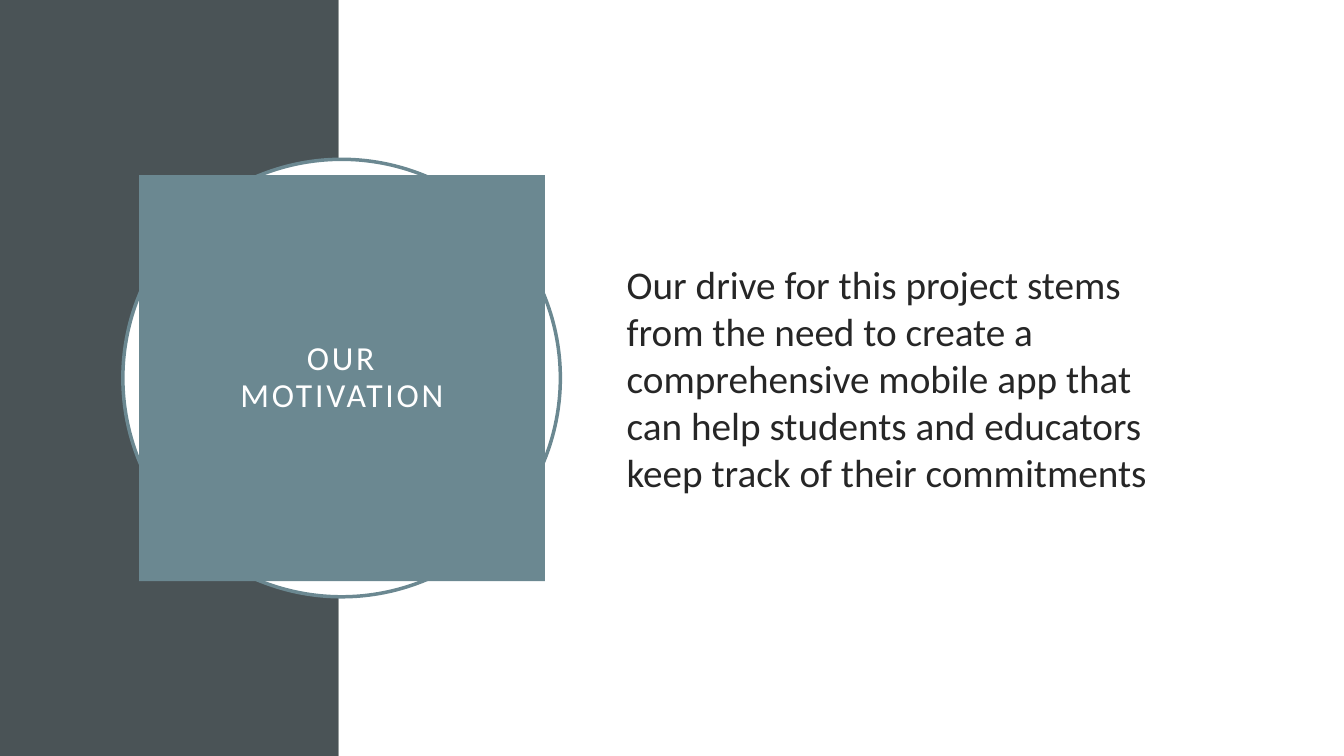
"""Build the motivation slide: a dark side band, a ringed title and a statement."""
from typing import NamedTuple, Optional

from pptx import Presentation
from pptx.dml.color import RGBColor
from pptx.enum.shapes import MSO_SHAPE as Kind
from pptx.enum.text import MSO_ANCHOR as Anchor, MSO_AUTO_SIZE as Fit, PP_ALIGN as Align
from pptx.util import Pt

WIDE, HIGH = 960, 540
BAND = 242
DARK, TEAL, WHITE, INK = "4A5356", "6B8891", "FFFFFF", "262626"
FONT = "Calibri"


class Box(NamedTuple):
    left: float
    top: float
    width: float
    height: float


class Panel(NamedTuple):
    kind: Kind
    box: Box
    fill: str
    line: Optional[str] = None


PANELS = [
    Panel(Kind.RECTANGLE, Box(0, 0, BAND, HIGH), DARK),
    Panel(Kind.RECTANGLE, Box(BAND, 0, WIDE - BAND, HIGH), WHITE),
    Panel(Kind.OVAL, Box(87.8, 113.8, 312.5, 312.5), WHITE, TEAL),
]
TITLE = Box(99.3, 125.1, 290, 290)
BODY = Box(440.6, 110.2, 419, 319)


def paint(fill, color: str) -> None:
    fill.solid()
    fill.fore_color.rgb = RGBColor.from_string(color)


def draw(slide, panel: Panel) -> None:
    shape = slide.shapes.add_shape(panel.kind, *map(Pt, panel.box))
    shape.shadow.inherit = False
    paint(shape.fill, panel.fill)
    if panel.line:
        paint(shape.line.fill, panel.line)
        shape.line.width = Pt(2.5)
    else:
        shape.line.fill.background()


def write(para, text: str, size: float, color: str):
    run = para.add_run()
    run.text = text
    run.font.name, run.font.size = FONT, Pt(size)
    paint(run.font.fill, color)
    return run


def frame(shape):
    text = shape.text_frame
    text.word_wrap = True
    text.auto_size = Fit.NONE
    text.vertical_anchor = Anchor.MIDDLE
    return text


def head(slide) -> None:
    title = slide.shapes.title
    title.left, title.top, title.width, title.height = map(Pt, TITLE)
    paint(title.fill, TEAL)
    text = frame(title)
    text.margin_left = text.margin_right = Pt(14.4)
    text.margin_top = text.margin_bottom = Pt(14.4)
    para = text.paragraphs[0]
    para.alignment, para.line_spacing = Align.CENTER, 0.9
    for count, word in enumerate(("OUR", "MOTIVATION")):
        if count:
            para.add_line_break()
        run = write(para, word, 24, WHITE)
        run.font._element.set("spc", "200")
    tree = title.element.getparent()
    tree.append(title.element)


def body(slide) -> None:
    para = frame(slide.shapes.add_textbox(*map(Pt, BODY))).paragraphs[0]
    para.alignment, para.space_before = Align.LEFT, Pt(10)
    write(para, "Our drive for this project stems from the need to create a "
          "comprehensive mobile app that can help students and educators "
          "keep track of their commitments", 28, INK)


def main() -> None:
    deck = Presentation()
    deck.slide_width, deck.slide_height = Pt(WIDE), Pt(HIGH)
    slide = deck.slides.add_slide(deck.slide_layouts[5])
    paint(slide.background.fill, WHITE)
    for panel in PANELS:
        draw(slide, panel)
    head(slide)
    body(slide)
    deck.save("out.pptx")


if __name__ == "__main__":
    main()
